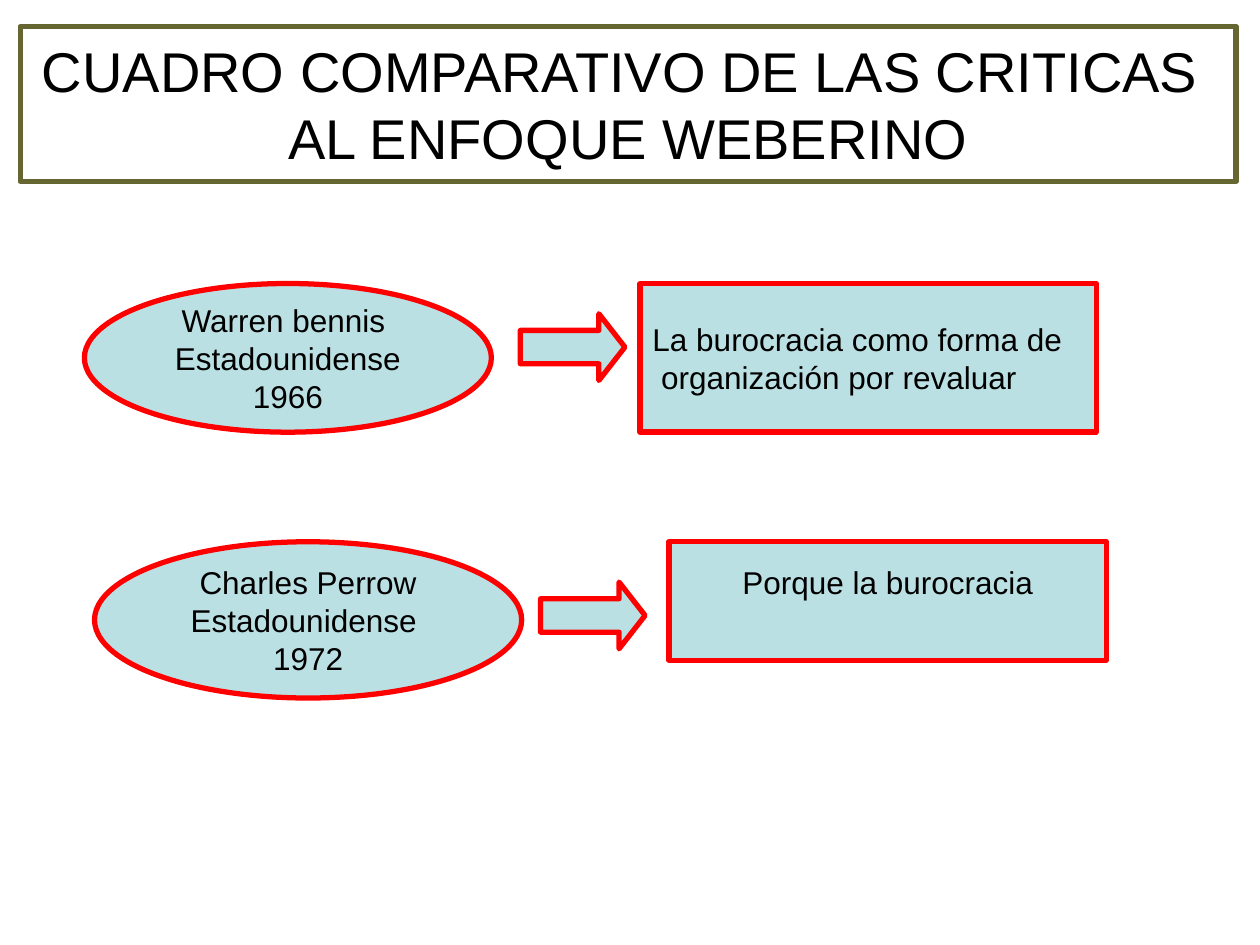
"""Builds a slide comparing two critics of the Weberian approach."""
from pptx import Presentation
from pptx.dml.color import RGBColor
from pptx.enum.shapes import MSO_SHAPE as Kind
from pptx.enum.text import MSO_ANCHOR as Anchor, PP_ALIGN as Align
from pptx.util import Inches, Pt

COLORS = {"olive": "666633", "red": "FF0000", "aqua": "BBE0E3", "black": "000000"}


def color(name):
    return RGBColor.from_string(COLORS[name])


def add_shape(slide, kind, box, line="red", fill="aqua"):
    shape = slide.shapes.add_shape(kind, *map(Inches, box))
    shape.shadow.inherit = False
    if fill:
        shape.fill.solid()
        shape.fill.fore_color.rgb = color(fill)
    else:
        shape.fill.background()
    shape.line.color.rgb = color(line)
    shape.line.width = Pt(3)
    return shape


def set_text(shape, text, size=18, align=Align.CENTER, bottom=0.05):
    frame = shape.text_frame
    frame.word_wrap = False
    frame.vertical_anchor = Anchor.MIDDLE
    frame.margin_left = frame.margin_right = Inches(0.1)
    frame.margin_top = Inches(0.05)
    frame.margin_bottom = Inches(bottom)
    frame.text = text
    for para in frame.paragraphs:
        para.alignment = align
        for run in para.runs:
            run.font.name = "Arial"
            run.font.size = Pt(size)
            run.font.color.rgb = color("black")


def add_title(slide, text):
    shape = add_shape(slide, Kind.RECTANGLE, (0.16, 0.21, 9.65, 1.23), "olive", None)
    set_text(shape, text, 32)


def add_critic(slide, box, text):
    set_text(add_shape(slide, Kind.OVAL, box), text)


def add_claim(slide, box, text, **style):
    set_text(add_shape(slide, Kind.RECTANGLE, box), text, **style)


def add_arrow(slide, left, top):
    arrow = add_shape(slide, Kind.RIGHT_ARROW, (left, top, 0.83, 0.53))
    arrow.adjustments[0] = 0.5
    arrow.adjustments[1] = 0.39


def main():
    deck = Presentation()
    deck.slide_width, deck.slide_height = Inches(10), Inches(7.5)
    slide = deck.slides.add_slide(deck.slide_layouts[6])
    add_title(slide, "CUADRO COMPARATIVO DE LAS CRITICAS \nAL ENFOQUE WEBERINO")
    add_claim(slide, (5.08, 2.25, 3.62, 1.18),
              "La burocracia como forma de\n organización por revaluar", align=Align.JUSTIFY)
    add_claim(slide, (5.31, 4.3, 3.47, 0.94), "Porque la burocracia", bottom=0.35)
    add_critic(slide, (0.67, 2.25, 3.23, 1.18), "Warren bennis \nEstadounidense\n1966")
    add_arrow(slide, 4.13, 2.49)
    add_critic(slide, (0.75, 4.3, 3.39, 1.24), "Charles Perrow\nEstadounidense \n1972")
    add_arrow(slide, 4.29, 4.62)
    deck.save("out.pptx")


if __name__ == "__main__":
    main()
